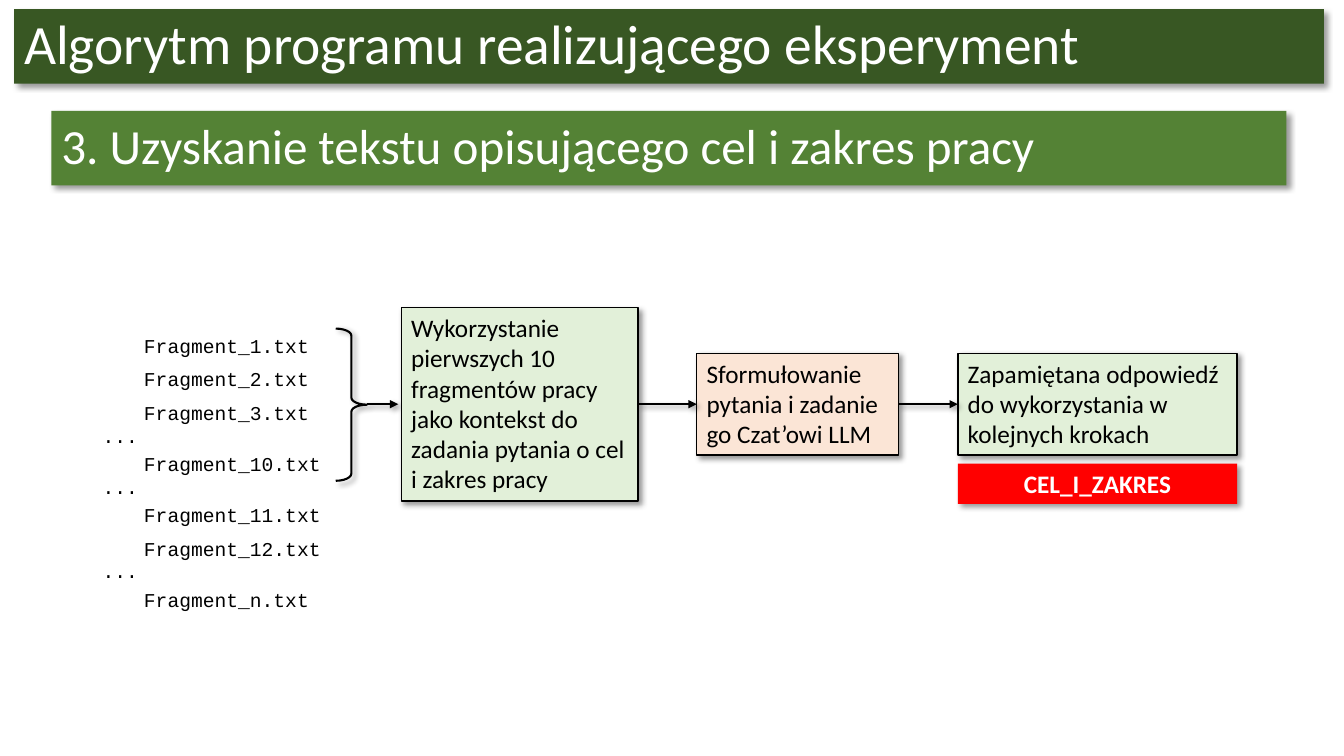
from lxml.etree import SubElement
from pptx import Presentation
from pptx.dml.color import RGBColor
from pptx.enum.shapes import MSO_CONNECTOR, MSO_SHAPE
from pptx.enum.text import MSO_ANCHOR, PP_ALIGN
from pptx.oxml.ns import qn
from pptx.util import Inches, Pt

BLACK = RGBColor(0x00, 0x00, 0x00)
WHITE = RGBColor(0xFF, 0xFF, 0xFF)
DARK_GREEN = RGBColor(0x38, 0x57, 0x23)
GREEN = RGBColor(0x54, 0x82, 0x35)
PALE_GREEN = RGBColor(0xE2, 0xF0, 0xD9)
PALE_ORANGE = RGBColor(0xFB, 0xE5, 0xD6)
RED = RGBColor(0xFF, 0x00, 0x00)

FLOW_AXIS = 4.01
FILE_STEP = 0.335
ELLIPSIS_STEP = 0.17
FILE_GROUPS = [
    ["Fragment_1.txt", "Fragment_2.txt", "Fragment_3.txt"],
    ["Fragment_10.txt"],
    ["Fragment_11.txt", "Fragment_12.txt"],
    ["Fragment_n.txt"],
]


def add_shadow(element):
    """Give a shape or connector a soft shadow to the lower right."""
    effects = SubElement(element._element.spPr, qn("a:effectLst"))
    shadow = SubElement(effects, qn("a:outerShdw"), blurRad=str(Pt(4)),
                        dist=str(Pt(3)), dir="2700000", algn="tl", rotWithShape="0")
    color = SubElement(shadow, qn("a:srgbClr"), val=str(BLACK))
    SubElement(color, qn("a:alpha"), val="40000")


def write_text(frame, text, **font_format):
    frame.word_wrap = True
    paragraph = frame.paragraphs[0]
    run = paragraph.add_run()
    run.text = text
    color = font_format.pop("color", BLACK)
    run.font.color.rgb = color
    for name, value in font_format.items():
        setattr(run.font, name, value)
    return paragraph


def add_panel(slide, area, fill, outline=None):
    panel = slide.shapes.add_shape(MSO_SHAPE.RECTANGLE, *map(Inches, area))
    panel.fill.solid()
    panel.fill.fore_color.rgb = fill
    if outline is None:
        panel.line.fill.background()
    else:
        panel.line.color.rgb = outline
        panel.line.width = Pt(1)
    add_shadow(panel)
    return panel


def add_heading(slide, area, fill, text, size):
    heading = add_panel(slide, area, fill)
    heading.text_frame.vertical_anchor = MSO_ANCHOR.MIDDLE
    paragraph = write_text(heading.text_frame, text, name="Calibri",
                           size=Pt(size), color=WHITE)
    paragraph.alignment = PP_ALIGN.LEFT
    paragraph.line_spacing = 0.9


def add_step(slide, left, width, height, fill, text):
    """Add a flow step centred vertically on the flow axis."""
    area = (left, FLOW_AXIS - height / 2, width, height)
    step = add_panel(slide, area, fill, BLACK)
    step.text_frame.vertical_anchor = MSO_ANCHOR.TOP
    paragraph = write_text(step.text_frame, text, name="Calibri", size=Pt(18))
    paragraph.alignment = PP_ALIGN.LEFT
    return step


def add_result(slide, area, text):
    result = add_panel(slide, area, RED)
    result.text_frame.vertical_anchor = MSO_ANCHOR.TOP
    paragraph = write_text(result.text_frame, text, name="Calibri",
                           size=Pt(18), bold=True, color=WHITE)
    paragraph.alignment = PP_ALIGN.CENTER


def add_code_label(slide, left, top, width, text):
    label = slide.shapes.add_textbox(*map(Inches, (left, top, width, 0.34)))
    write_text(label.text_frame, text, name="Courier New", size=Pt(14))


def add_file_list(slide):
    top = 3.26
    for index, files in enumerate(FILE_GROUPS):
        if index:
            add_code_label(slide, 0.92, top - 0.11, 0.59, "...")
            top += ELLIPSIS_STEP
        for file_name in files:
            add_code_label(slide, 1.33, top, 2, file_name)
            top += FILE_STEP


def add_brace(slide):
    brace = slide.shapes.add_shape(
        MSO_SHAPE.RIGHT_BRACE, *map(Inches, (3.33, 3.26, 0.31, 1.51)))
    brace.adjustments[0] = 0.227
    brace.fill.background()
    brace.line.color.rgb = BLACK
    brace.line.width = Pt(1.5)
    add_shadow(brace)


def add_arrow(slide, start, end):
    arrow = slide.shapes.add_connector(
        MSO_CONNECTOR.STRAIGHT, Inches(start), Inches(FLOW_AXIS),
        Inches(end), Inches(FLOW_AXIS))
    arrow.line.color.rgb = BLACK
    arrow.line.width = Pt(1.5)
    SubElement(arrow.line._get_or_add_ln(), qn("a:tailEnd"), type="triangle")
    add_shadow(arrow)
    return arrow


def join_steps(slide, source, target):
    arrow = add_arrow(slide, (source.left + source.width) / Inches(1),
                      target.left / Inches(1))
    arrow.begin_connect(source, 3)
    arrow.end_connect(target, 1)


def main():
    presentation = Presentation()
    presentation.slide_width = Inches(13.33)
    presentation.slide_height = Inches(7.5)
    slide = presentation.slides.add_slide(presentation.slide_layouts[6])

    add_heading(slide, (0.14, 0.09, 12.99, 0.74), DARK_GREEN,
                "Algorytm programu realizującego eksperyment", 39.6)
    add_heading(slide, (0.51, 1.1, 12.25, 0.74), GREEN,
                "3. Uzyskanie tekstu opisującego cel i zakres pracy", 35.1)

    add_file_list(slide)
    add_brace(slide)
    add_arrow(slide, 3.64, 3.95)

    context = add_step(slide, 3.98, 2.35, 1.92, PALE_GREEN,
                       "Wykorzystanie pierwszych 10 fragmentów pracy jako "
                       "kontekst do zadania pytania o cel i zakres pracy")
    question = add_step(slide, 6.91, 2, 1.01, PALE_ORANGE,
                        "Sformułowanie pytania i zadanie go Czat’owi LLM")
    answer = add_step(slide, 9.5, 2.77, 1.01, PALE_GREEN,
                      "Zapamiętana odpowiedź do wykorzystania w kolejnych krokach")
    join_steps(slide, context, question)
    join_steps(slide, question, answer)
    add_result(slide, (9.5, 4.6, 2.77, 0.4), "CEL_I_ZAKRES")

    presentation.save("out.pptx")


if __name__ == "__main__":
    main()
